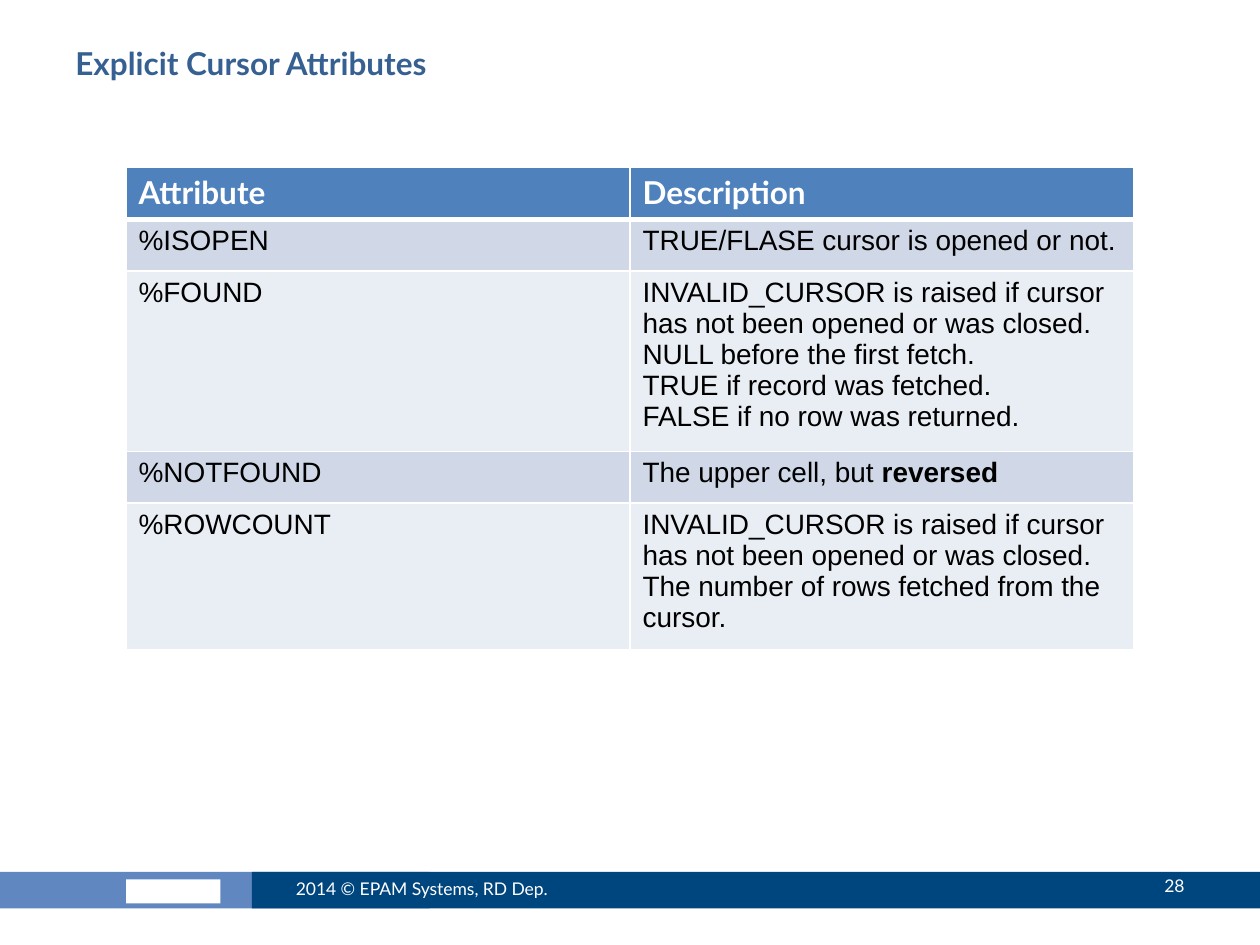
from lxml.etree import SubElement
from pptx import Presentation
from pptx.dml.color import RGBColor
from pptx.enum.shapes import MSO_SHAPE
from pptx.enum.text import MSO_ANCHOR, PP_ALIGN
from pptx.oxml.ns import qn
from pptx.util import Inches, Pt

COLORS = {
    "white": "FFFFFF",
    "black": "000000",
    "title": "376092",
    "header": "4F81BD",
    "odd_row": "D0D8E8",
    "even_row": "E9EDF4",
    "footer_light": "6087BF",
    "footer_dark": "00467E",
}

CURSOR_ERROR = "INVALID_CURSOR is raised if cursor has not been opened or was closed."

# A cell is a list of paragraphs, a paragraph a list of (text, bold) runs.
ROWS = [
    ([[("Attribute", True)]], [[("Description", True)]]),
    ([[("%ISOPEN", False)]], [[("TRUE/FLASE cursor is opened or not.", False)]]),
    (
        [[("%FOUND", False)]],
        [
            [(CURSOR_ERROR, False)],
            [("NULL before the first fetch.", False)],
            [("TRUE if record was fetched.", False)],
            [("FALSE if no row was returned.", False)],
        ],
    ),
    (
        [[("%NOTFOUND", False)]],
        [[("The upper cell, but ", False), ("reversed", True)]],
    ),
    (
        [[("%ROWCOUNT", False)]],
        [
            [(CURSOR_ERROR, False)],
            [("The number of rows fetched from the cursor.", False)],
        ],
    ),
]


def color(name):
    return RGBColor.from_string(COLORS[name])


def add_run(paragraph, text, size, font_name, color_name, bold=False):
    run = paragraph.add_run()
    run.text = text
    run.font.size = Pt(size)
    run.font.name = font_name
    run.font.bold = bold
    run.font.color.rgb = color(color_name)


def add_block(slide, left, top, width, height, color_name):
    shape = slide.shapes.add_shape(
        MSO_SHAPE.RECTANGLE, Inches(left), Inches(top), Inches(width), Inches(height)
    )
    shape.shadow.inherit = False
    shape.fill.solid()
    shape.fill.fore_color.rgb = color(color_name)
    shape.line.fill.background()


def add_text(slide, text, left, top, width, height, size, color_name,
             bold=False, anchor=MSO_ANCHOR.MIDDLE, alignment=PP_ALIGN.LEFT):
    box = slide.shapes.add_textbox(
        Inches(left), Inches(top), Inches(width), Inches(height)
    )
    frame = box.text_frame
    frame.word_wrap = True
    frame.vertical_anchor = anchor
    paragraph = frame.paragraphs[0]
    paragraph.alignment = alignment
    add_run(paragraph, text, size, "Lato", color_name, bold)


def set_borders(cell, top_width, bottom_width):
    """Draw white cell borders; call before the cell is filled."""
    properties = cell._tc.get_or_add_tcPr()
    widths = {"a:lnL": 1, "a:lnR": 1, "a:lnT": top_width, "a:lnB": bottom_width}
    for tag, width in widths.items():
        line = SubElement(properties, qn(tag), w=str(Pt(width)))
        fill = SubElement(line, qn("a:solidFill"))
        SubElement(fill, qn("a:srgbClr"), val=COLORS["white"])


def fill_cell(cell, paragraphs, row_index):
    is_header = row_index == 0
    set_borders(cell, 3 if row_index == 1 else 1, 3 if is_header else 1)
    if is_header:
        fill_name, text_style = "header", (18, "Lato", "white")
    else:
        fill_name = "odd_row" if row_index % 2 else "even_row"
        text_style = (16, "Arial", "black")
    cell.fill.solid()
    cell.fill.fore_color.rgb = color(fill_name)
    frame = cell.text_frame
    for index, runs in enumerate(paragraphs):
        paragraph = frame.add_paragraph() if index else frame.paragraphs[0]
        for text, bold in runs:
            add_run(paragraph, text, *text_style, bold)


def add_attribute_table(slide):
    row_height = Inches(0.41)
    table = slide.shapes.add_table(
        len(ROWS), 2, Inches(1), Inches(1.33), Inches(8), row_height * len(ROWS)
    ).table
    for row_index, row in enumerate(ROWS):
        table.rows[row_index].height = row_height
        for column_index, paragraphs in enumerate(row):
            fill_cell(table.cell(row_index, column_index), paragraphs, row_index)


def add_footer(slide):
    add_block(slide, -0.02, 6.92, 3.43, 0.29, "footer_light")
    add_block(slide, 1, 6.98, 0.75, 0.19, "white")
    add_block(slide, 2, 6.92, 8, 0.29, "footer_dark")
    add_text(slide, "2014 © EPAM Systems, RD Dep.", 2.25, 6.85, 2.67, 0.4, 10, "white")
    add_text(slide, "28", 8.42, 6.83, 1.08, 0.4, 10, "white",
             alignment=PP_ALIGN.RIGHT)


def main():
    presentation = Presentation()
    presentation.slide_width = Inches(10)
    presentation.slide_height = Inches(7.5)
    slide = presentation.slides.add_slide(presentation.slide_layouts[6])
    add_footer(slide)
    add_text(slide, "Explicit Cursor Attributes", 0.5, 0.3, 9, 0.78, 18, "title",
             bold=True, anchor=MSO_ANCHOR.TOP)
    add_attribute_table(slide)
    presentation.save("out.pptx")


if __name__ == "__main__":
    main()
